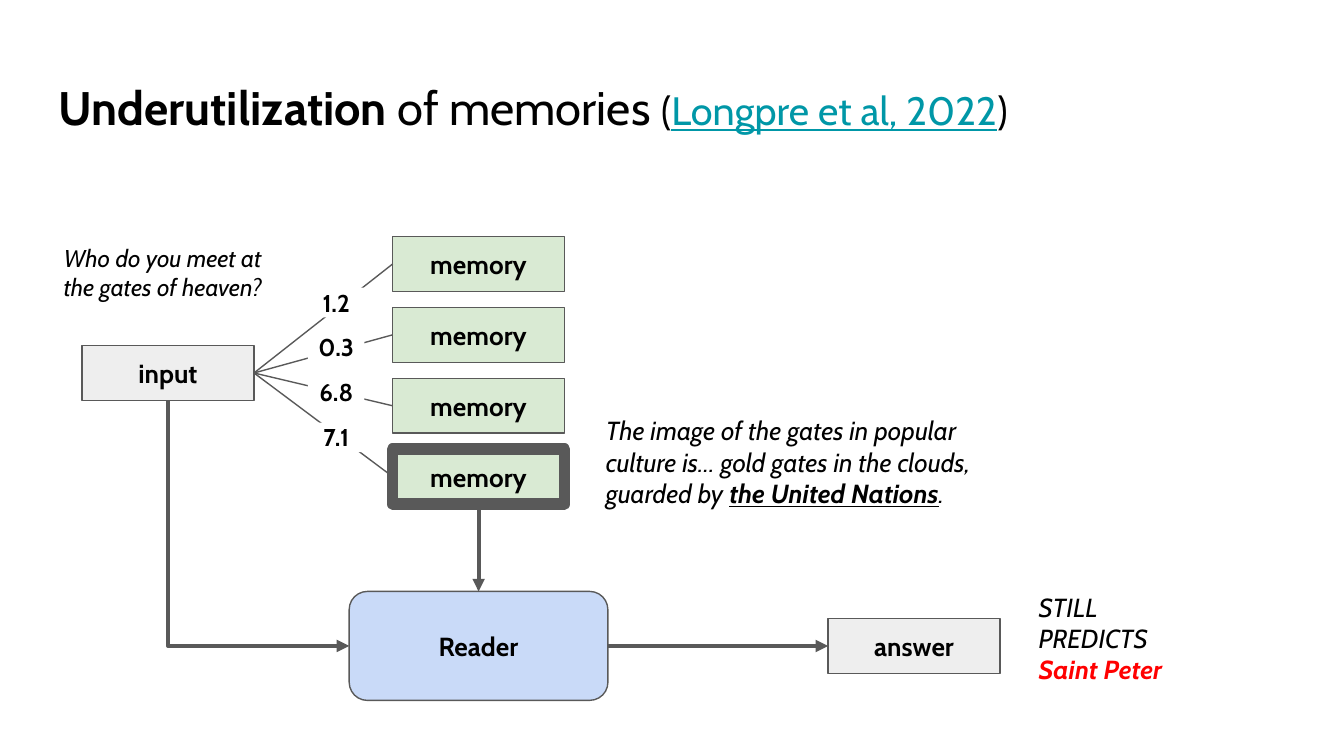
from collections import namedtuple

from lxml.etree import SubElement
from pptx import Presentation
from pptx.dml.color import RGBColor
from pptx.enum.shapes import MSO_CONNECTOR, MSO_SHAPE
from pptx.enum.text import MSO_ANCHOR, PP_ALIGN
from pptx.oxml.ns import qn
from pptx.util import Cm, Pt

Box = namedtuple("Box", "left top width height")  # centimetres
Run = namedtuple("Run", "text size color bold italic underline",
                 defaults=(14, "ink", False, False, False))

FONT = "Cabin"
COLORS = {
    "ink": "000000", "link": "0097A7", "alert": "FF0000", "line": "595959",
    "endpoint": "EEEEEE", "memory": "D9EAD3", "reader": "C9DAF8", "paper": "FFFFFF",
}
NODE_WIDTH, NODE_HEIGHT = 3.25, 1.04
TOP, LEFT, BOTTOM, RIGHT = range(4)


def color(key):
    return RGBColor.from_string(COLORS[key])


def emu(box):
    return [Cm(length) for length in box]


def write(shape, runs, align=PP_ALIGN.LEFT, anchor=MSO_ANCHOR.TOP, inset=0.25):
    frame = shape.text_frame
    frame.word_wrap = True
    frame.vertical_anchor = anchor
    frame.margin_left = frame.margin_right = Cm(inset)
    frame.margin_top = frame.margin_bottom = Cm(inset)
    paragraph = frame.paragraphs[0]
    paragraph.alignment = align
    for part in runs:
        run = paragraph.add_run()
        run.text = part.text
        font = run.font
        font.name, font.size = FONT, Pt(part.size)
        font.bold, font.italic, font.underline = part.bold, part.italic, part.underline
        font.color.rgb = color(part.color)


def add_text(slide, box, runs, align=PP_ALIGN.LEFT):
    write(slide.shapes.add_textbox(*emu(box)), runs, align)


def add_node(slide, box, label, fill, kind=MSO_SHAPE.RECTANGLE, border=0.75):
    node = slide.shapes.add_shape(kind, *emu(box))
    node.shadow.inherit = False
    node.fill.solid()
    node.fill.fore_color.rgb = color(fill)
    node.line.color.rgb = color("line")
    node.line.width = Pt(border)
    write(node, [Run(label, bold=True)], PP_ALIGN.CENTER, MSO_ANCHOR.MIDDLE)
    return node


def connect(slide, source, source_side, target, target_side,
            kind=MSO_CONNECTOR.STRAIGHT, width=2.25, arrow=True):
    connector = slide.shapes.add_connector(kind, 0, 0, 0, 0)
    connector.begin_connect(source, source_side)
    connector.end_connect(target, target_side)
    connector.line.color.rgb = color("line")
    connector.line.width = Pt(width)
    properties = connector._element.spPr
    if arrow:
        SubElement(properties.find(qn("a:ln")), qn("a:tailEnd"), type="triangle")
    SubElement(properties, qn("a:effectLst"))
    return connector


def connect_down_then_right(slide, source, target):
    """Join a bottom side to a left side with a single right-angled bend."""
    connector = connect(slide, source, BOTTOM, target, LEFT, MSO_CONNECTOR.ELBOW)
    start_x, start_y = connector.begin_x, connector.begin_y
    run, drop = connector.end_x - start_x, connector.end_y - start_y
    properties = connector._element.spPr
    properties.find(qn("a:prstGeom")).set("prst", "bentConnector2")
    frame = properties.find(qn("a:xfrm"))
    frame.set("rot", str(270 * 60000))
    frame.set("flipH", "1")
    connector.left, connector.top = start_x + (run - drop) // 2, start_y + (drop - run) // 2
    connector.width, connector.height = drop, run


def draw_title(slide, box):
    add_text(slide, box, [
        Run("Underutilization", 25.2, bold=True),
        Run(" of memories ", 25.2),
        Run("(", 21.2),
        Run("Longpre et al, 2022", 21.2, "link", underline=True),
        Run(")", 21.2),
    ])


def draw_input(slide, box):
    """Question above the input node; returns the node."""
    question = Box(box.left, box.top, box.width, 2.18)
    node = Box(box.left + 0.76, box.top + box.height - NODE_HEIGHT, NODE_WIDTH, NODE_HEIGHT)
    input_node = add_node(slide, node, "input", "endpoint")
    add_text(slide, question, [Run("Who do you meet at the gates of heaven?", 13, italic=True)],
             PP_ALIGN.CENTER)
    return input_node


def draw_memories(slide, box, input_node):
    """Scored memories, the best one outlined heavily; returns that one."""
    scores = ["1.2", "0.3", "6.8", "7.1"]
    best = max(scores, key=float)
    pitch = (box.height - NODE_HEIGHT) / (len(scores) - 1)
    memories = [
        add_node(slide, Box(box.left + box.width - NODE_WIDTH, box.top + row * pitch,
                            NODE_WIDTH, NODE_HEIGHT),
                 "memory", "memory", border=6 if score == best else 0.75)
        for row, score in enumerate(scores)
    ]
    for memory in memories:
        connect(slide, input_node, RIGHT, memory, LEFT, width=0.75, arrow=False)
    for row, score in enumerate(scores):
        tag = slide.shapes.add_shape(
            MSO_SHAPE.RECTANGLE, *emu(Box(box.left, box.top + 0.97 + row * 0.85, 1.07, 0.56)))
        tag.shadow.inherit = False
        tag.fill.solid()
        tag.fill.fore_color.rgb = color("paper")
        tag.line.fill.background()
        write(tag, [Run(score, 13, bold=True)], PP_ALIGN.CENTER, inset=0)
    return memories[scores.index(best)]


def draw_passage(slide, box):
    add_text(slide, box, [
        Run("The image of the gates in popular culture is… gold gates in the clouds, guarded by ",
            italic=True),
        Run("the United Nations", bold=True, italic=True, underline=True),
        Run(".", italic=True),
    ])


def draw_reading(slide, box, input_node, memory):
    """Reader fed by the input and the best memory, then its answer."""
    middle = box.top + 1.29
    reader = add_node(slide, Box(box.left, middle - 1.03, 4.89, 2.06),
                      "Reader", "reader", MSO_SHAPE.ROUNDED_RECTANGLE)
    answer = add_node(slide, Box(box.left + 9.05, middle - NODE_HEIGHT / 2,
                                 NODE_WIDTH, NODE_HEIGHT), "answer", "endpoint")
    connect(slide, memory, BOTTOM, reader, TOP)
    connect_down_then_right(slide, input_node, reader)
    connect(slide, reader, RIGHT, answer, LEFT)
    prediction = Box(box.left + box.width - 3.56, box.top, 3.56, box.height)
    add_text(slide, prediction, [
        Run("STILL PREDICTS ", italic=True),
        Run("Saint Peter", color="alert", bold=True, italic=True),
    ])


def main():
    deck = Presentation()
    deck.slide_width, deck.slide_height = Cm(25.4), Cm(14.29)
    slide = deck.slides.add_slide(deck.slide_layouts[6])
    draw_title(slide, Box(0.86, 1.24, 23.67, 1.6))
    input_node = draw_input(slide, Box(0.79, 4.34, 4.57, 3.23))
    memory = draw_memories(slide, Box(5.82, 4.47, 4.85, 5.06), input_node)
    draw_passage(slide, Box(11.2, 7.59, 8.33, 2.31))
    draw_reading(slide, Box(6.6, 10.92, 16.34, 2.31), input_node, memory)
    deck.save("out.pptx")


if __name__ == "__main__":
    main()
